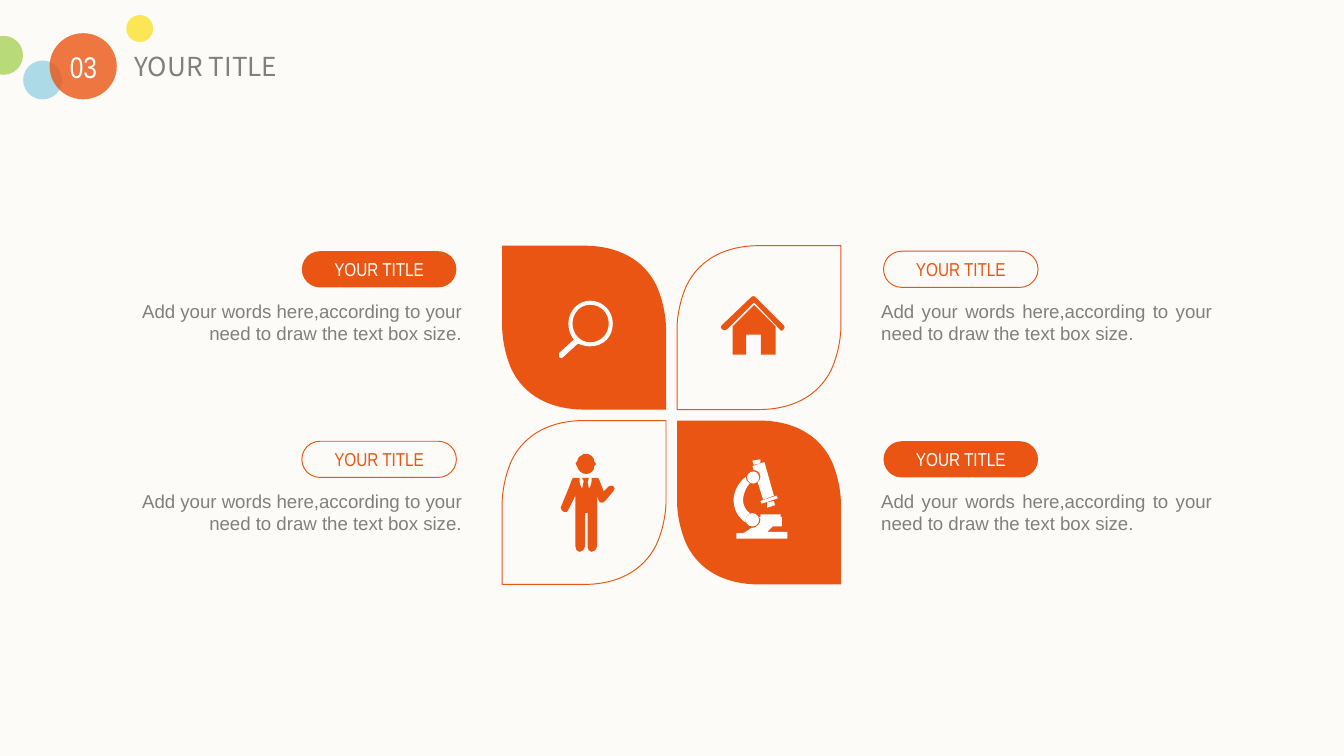
import pptx
import pptx.dml.color
import pptx.enum.shapes
import pptx.enum.text
import pptx.oxml
import pptx.oxml.ns
import pptx.util

Pt = pptx.util.Pt
RGB = pptx.dml.color.RGBColor
MSO = pptx.enum.shapes.MSO_SHAPE
ALIGN = pptx.enum.text.PP_ALIGN
ANCHOR = pptx.enum.text.MSO_ANCHOR
AUTO_SIZE = pptx.enum.text.MSO_AUTO_SIZE
NS = pptx.oxml.ns.nsdecls("a")

ORANGE = RGB(0xEA, 0x55, 0x14)
CREAM = RGB(0xFC, 0xFB, 0xF7)
WHITE = RGB(0xFF, 0xFF, 0xFF)
GRAY = RGB(0x80, 0x80, 0x80)
YELLOW = RGB(0xFB, 0xE2, 0x2D)
GREEN = RGB(0xA9, 0xD2, 0x5A)
BLUE = RGB(0x98, 0xD2, 0xE3)

BODY = "Add your words here,according to your need to draw the text box size."
GRID = 0.72  # points per unit of the icon outlines
LEAF, PITCH = 87.8, 93.7
ROW_PITCH = 101.8
PILL_W, PILL_H = 82.8, 19.4

# Outlines: a pair is a corner, six numbers are a Bezier curve (two controls, end).
LEAF_PATH = [
    (1, 1), (1, 0.5), (1, 0.5, 1, 0.37, 0.94, 0.24), (0.86, 0.08, 0.7, 0, 0.5, 0),
    (0, 0), (0, 0.5), (0, 0.5, 0, 0.63, 0.06, 0.76), (0.14, 0.92, 0.3, 1, 0.5, 1)]
LENS_RIM = [
    (23, 0), (14, 0, 7, 8, 7, 17), (7, 21, 8, 25, 11, 29), (0, 39),
    (0, 40, 0, 41, 0, 42), (1, 43, 3, 43, 3, 42), (14, 32), (17, 33, 20, 34, 23, 34),
    (33, 34, 40, 27, 40, 17), (40, 8, 33, 0, 23, 0)]
LENS_HOLE = [
    (23, 3), (31, 3, 37, 9, 37, 17), (37, 25, 31, 31, 23, 31),
    (16, 31, 10, 25, 10, 17), (10, 9, 16, 3, 23, 3)]
HOUSE_WALLS = [(25, 7), (41, 23), (41, 44), (30, 44), (30, 29), (19, 29),
               (19, 44), (9, 44), (9, 23)]
HOUSE_ROOF = [
    (46, 26), (45, 26, 44, 26, 44, 25), (25, 5), (5, 25), (4, 26, 2, 26, 1, 25),
    (0, 24, 0, 23, 1, 22), (23, 1), (24, 0, 25, 0, 26, 1), (47, 22),
    (48, 23, 48, 24, 47, 25), (47, 26, 46, 26, 46, 26)]
PERSON_HEAD = [
    (12, 9), (13, 13, 16, 15, 19, 15), (22, 15, 25, 13, 25, 9), (26, 9, 26, 8, 26, 7),
    (26, 6, 26, 6, 25, 6), (25, 2, 22, 1, 20, 0), (17, 0), (16, 0, 16, 1, 16, 1),
    (14, 1, 13, 3, 12, 6), (11, 6, 11, 6, 11, 7), (11, 8, 12, 9, 12, 9)]
PERSON_BODY = [
    (39, 24), (38, 24, 37, 24, 36, 24), (32, 28), (30, 23), (29, 20),
    (29, 20, 28, 19, 28, 18), (23, 18), (23, 18, 23, 19, 23, 20),
    (23, 22, 22, 25, 21, 26), (20, 21), (21, 18), (16, 18), (17, 20), (17, 21), (16, 26),
    (15, 25, 14, 22, 14, 20), (14, 18), (9, 18), (9, 19, 8, 20, 8, 20), (7, 23), (0, 40),
    (0, 41, 1, 43, 2, 43), (4, 44, 6, 43, 6, 41), (11, 31), (11, 69),
    (11, 71, 12, 73, 14, 73), (16, 73, 18, 71, 18, 69), (18, 44), (20, 44), (20, 69),
    (20, 71, 21, 73, 23, 73), (25, 73, 27, 71, 27, 69), (27, 31), (28, 34),
    (28, 35, 28, 35, 29, 36), (30, 37, 32, 36, 32, 36), (34, 34), (39, 28),
    (41, 27, 40, 25, 39, 24)]
SCOPE_STAGE = [(33, 29), (21, 33), (20, 31), (32, 27)]
SCOPE_LENS = [(25, 32), (25, 36), (31, 34), (30, 31)]
SCOPE_CAP = [(14, 1), (15, 4), (20, 3), (20, 0)]
SCOPE_TUBE = [(23, 2), (14, 5), (15, 8), (18, 8, 20, 10, 20, 13),
              (20, 15, 19, 16, 18, 17), (22, 30), (30, 27)]
SCOPE_ARM = [
    (9, 47), (9, 46, 9, 46, 9, 45), (9, 43, 10, 41, 12, 40), (9, 38, 7, 34, 7, 30),
    (7, 29, 8, 22, 12, 18), (10, 17, 9, 15, 9, 13), (4, 17, 0, 24, 0, 30),
    (0, 37, 3, 43, 9, 47)]
SCOPE_BASE = [
    (25, 54), (25, 54, 27, 52, 29, 50), (36, 50), (36, 43), (19, 43),
    (20, 44, 20, 45, 20, 45), (20, 48, 17, 51, 14, 51), (13, 51), (11, 53, 8, 55, 6, 55),
    (2, 55), (2, 59), (40, 59), (40, 54)]

# Each icon: offset in its leaf, closed outlines by shape, then preset parts.
MAGNIFIER = (30.5, 29.5), [[LENS_RIM, LENS_HOLE]], []
HOUSE = (23.3, 26.8), [[HOUSE_WALLS], [HOUSE_ROOF]], []
PERSON = (31.4, 17.8), [[PERSON_HEAD], [PERSON_BODY]], []
MICROSCOPE = (
    (30.3, 20.8),
    [[SCOPE_STAGE], [SCOPE_LENS], [SCOPE_CAP], [SCOPE_TUBE], [SCOPE_ARM], [SCOPE_BASE]],
    [(MSO.RECTANGLE, 20, 41, 15, 2), (MSO.OVAL, 10, 9, 9, 9), (MSO.OVAL, 9, 40, 10, 10)])


def paint(sp, fill, line=None):
    sp.shadow.inherit = False
    sp.fill.solid()
    sp.fill.fore_color.rgb = fill
    if line is None:
        sp.line.fill.background()
    else:
        sp.line.color.rgb = line
        sp.line.width = Pt(0.5)
    return sp


def add_preset(shapes, kind, x, y, w, h, fill, line=None):
    return paint(shapes.add_shape(kind, Pt(x), Pt(y), Pt(w), Pt(h)), fill, line)


def add_outline(shapes, paths, x, y, scale, fill, line=None):
    """Build the closed paths from their end points, then bend the curved segments."""
    def place(u, v):
        return Pt(x + u * scale), Pt(y + v * scale)

    builder = shapes.build_freeform(*place(*paths[0][0]))
    for path in paths:
        if path is not paths[0]:
            builder.move_to(*place(*path[0]))
        builder.add_line_segments([place(*seg[-2:]) for seg in path[1:]], close=True)
    sp = builder.convert_to_shape()
    segments = [seg for path in paths for seg in path[1:]]
    for node, seg in zip(list(sp._element.iter(pptx.oxml.ns.qn("a:lnTo"))), segments):
        if len(seg) == 6:
            pts = [place(*seg[i:i + 2]) for i in (0, 2, 4)]
            marks = "".join(f'<a:pt x="{px - sp.left}" y="{py - sp.top}"/>' for px, py in pts)
            curve = pptx.oxml.parse_xml(f"<a:cubicBezTo {NS}>{marks}</a:cubicBezTo>")
            node.getparent().replace(node, curve)
    return paint(sp, fill, line)


def set_text(sp, text, size, font, color, align, grow=True):
    tf = sp.text_frame
    tf.text = text
    tf.word_wrap = True
    if grow:
        tf.margin_left = tf.margin_right = tf.margin_top = tf.margin_bottom = 0
        tf.vertical_anchor = ANCHOR.TOP
        tf.auto_size = AUTO_SIZE.SHAPE_TO_FIT_TEXT
    else:
        tf.vertical_anchor = ANCHOR.MIDDLE
    p = tf.paragraphs[0]
    p.alignment = align
    r = p.runs[0]
    r.font.size = Pt(size)
    r.font.name = font
    r.font.color.rgb = color


def add_text(s, x, y, w, h, *style):
    set_text(s.shapes.add_textbox(Pt(x), Pt(y), Pt(w), Pt(h)), *style)


def add_header(s, number, title):
    for x, y, w, h, color in [(67.7, 8.1, 14.4, 14.4, YELLOW), (-8.6, 19.2, 20.9, 20.9, GREEN),
                              (12.4, 32.4, 20.9, 20.9, BLUE), (26.6, 17.8, 36, 35.4, ORANGE)]:
        sp = add_preset(s.shapes, MSO.OVAL, x, y, w, h, color)
        clr = sp._element.spPr.find(".//" + pptx.oxml.ns.qn("a:srgbClr"))
        clr.append(pptx.oxml.parse_xml(f'<a:alpha {NS} val="80000"/>'))
    add_text(s, 31.8, 25.9, 25.9, 19.4, number, 16, "Arial Narrow", WHITE, ALIGN.CENTER)
    sp = s.shapes.title
    sp.left, sp.top, sp.width, sp.height = Pt(72), Pt(27), Pt(219), Pt(17.3)
    set_text(sp, title, 14, "Noto Sans CJK SC", GRAY, ALIGN.LEFT)


def add_leaf(s, x, y, filled, icon):
    """Filled leaves point to the top left, outlined ones to the top right."""
    path = LEAF_PATH
    if not filled:
        path = [tuple(1 - v if i % 2 == 0 else v for i, v in enumerate(seg)) for seg in path]
    add_outline(s.shapes, [path], x, y, LEAF,
                ORANGE if filled else CREAM, None if filled else ORANGE)
    (dx, dy), outlines, presets = icon
    color = WHITE if filled else ORANGE
    shapes = s.shapes
    if len(outlines) > 1:
        shapes = s.shapes.add_group_shape().shapes
    for paths in outlines:
        add_outline(shapes, paths, x + dx, y + dy, GRID, color)
    for kind, u, v, w, h in presets:
        add_preset(shapes, kind, x + dx + u * GRID, y + dy + v * GRID,
                   w * GRID, h * GRID, color)


def add_caption(s, x, y, w, filled, on_left):
    pill_x = x + w - PILL_W - 2.7 if on_left else x + 1.2
    sp = add_preset(s.shapes, MSO.ROUNDED_RECTANGLE, pill_x, y, PILL_W, PILL_H,
                    ORANGE if filled else CREAM, None if filled else ORANGE)
    sp.adjustments[0] = 0.5
    set_text(sp, "YOUR TITLE", 10, "Arial Narrow", WHITE if filled else ORANGE,
             ALIGN.CENTER, grow=False)
    add_text(s, x, y + 26, w, 24.5, BODY, 10, "Arial", GRAY,
             ALIGN.RIGHT if on_left else ALIGN.JUSTIFY)


def main():
    prs = pptx.Presentation()
    prs.slide_width, prs.slide_height = Pt(720), Pt(405)
    s = prs.slides.add_slide(prs.slide_layouts[5])
    s.background.fill.solid()
    s.background.fill.fore_color.rgb = CREAM
    for row, icons in enumerate([(MAGNIFIER, HOUSE), (PERSON, MICROSCOPE)]):
        for col, icon in enumerate(icons):
            filled = row == col
            add_leaf(s, 269 + col * PITCH, 131.6 + row * PITCH, filled, icon)
            add_caption(s, (70.2, 472.1)[col], 134.6 + row * ROW_PITCH, 177, filled, col == 0)
    add_header(s, "03", "YOUR TITLE")
    prs.save("out.pptx")


if __name__ == "__main__":
    main()
